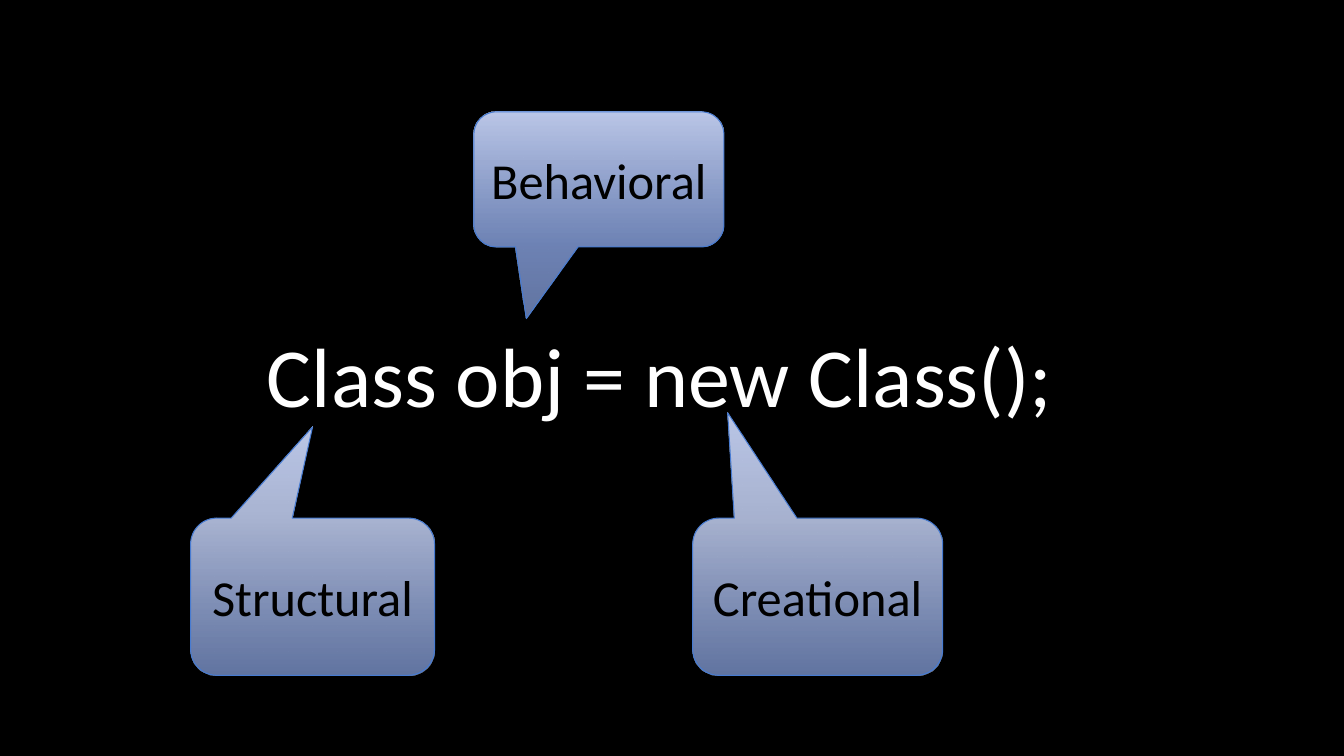
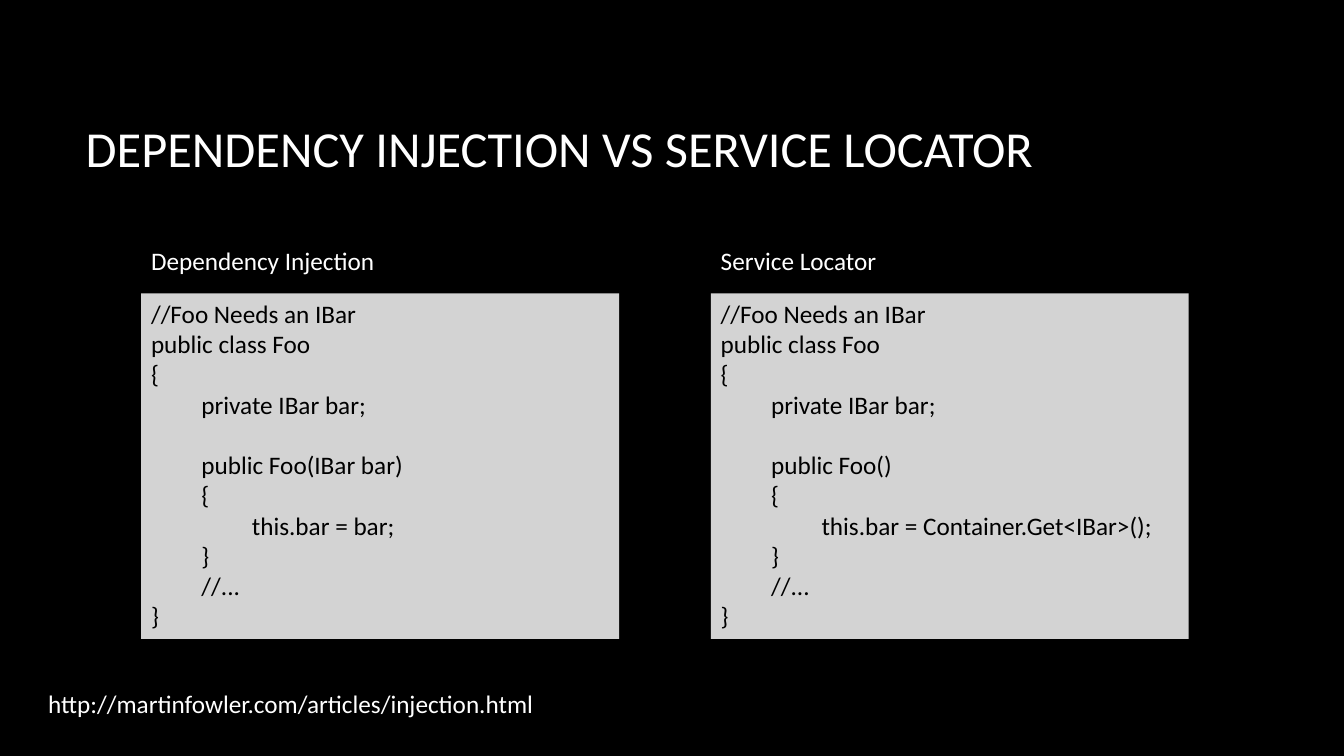
import pptx
import pptx.dml.color
import pptx.enum.shapes
import pptx.enum.text
import pptx.oxml.ns
import pptx.util
from lxml import etree
from pptx.util import Inches

RGBColor = pptx.dml.color.RGBColor
BLACK = RGBColor(0x00, 0x00, 0x00)
WHITE = RGBColor(0xFF, 0xFF, 0xFF)
CODE_GRAY = RGBColor(0xD3, 0xD3, 0xD3)
CALLOUT_TOP = RGBColor(0xBC, 0xC8, 0xE9)
CALLOUT_BOTTOM = RGBColor(0x85, 0x9E, 0xDA)
CALLOUT_LINE = RGBColor(0x47, 0x7B, 0xD1)

FONT = "Calibri"
SHAPES = pptx.enum.shapes.MSO_SHAPE
ANCHOR = pptx.enum.text.MSO_ANCHOR
ALIGN = pptx.enum.text.PP_ALIGN
TITLE_ONLY, BLANK = 5, 6


class Deck:
    """Holds the shared style and the current slide."""

    def __init__(self):
        self.presentation = pptx.Presentation()
        self.presentation.slide_width = Inches(13.33)
        self.presentation.slide_height = Inches(7.5)
        background = self.presentation.slide_master.background.fill
        background.solid()
        background.fore_color.rgb = BLACK
        self.slide = None

    def new_slide(self, layout):
        layouts = self.presentation.slide_layouts
        self.slide = self.presentation.slides.add_slide(layouts[layout])

    def format_text(self, shape, size, color, align=ALIGN.LEFT):
        for paragraph in shape.text_frame.paragraphs:
            paragraph.alignment = align
            for run in paragraph.runs:
                run.font.name = FONT
                run.font.size = pptx.util.Pt(size)
                run.font.color.rgb = color

    def title(self, text, left, top, width, height):
        shape = self.slide.shapes.title
        shape.left, shape.top = Inches(left), Inches(top)
        shape.width, shape.height = Inches(width), Inches(height)
        shape.text_frame.text = text
        shape.text_frame.vertical_anchor = ANCHOR.MIDDLE
        self.format_text(shape, 36, WHITE)

    def label(self, text, left, top, width, height, size=18, anchor=ANCHOR.TOP):
        shape = self.slide.shapes.add_textbox(
            Inches(left), Inches(top), Inches(width), Inches(height))
        shape.text_frame.text = text
        shape.text_frame.vertical_anchor = anchor
        self.format_text(shape, size, WHITE)

    def add_shape(self, kind, left, top, width, height):
        shape = self.slide.shapes.add_shape(
            kind, Inches(left), Inches(top), Inches(width), Inches(height))
        shape.shadow.inherit = False
        shape.text_frame.word_wrap = True
        return shape

    def callout(self, text, left, top, width, height, tip):
        """Rounded callout; tip is the pointer offset as a share of its size."""
        shape = self.add_shape(
            SHAPES.ROUNDED_RECTANGULAR_CALLOUT, left, top, width, height)
        shape.adjustments[0], shape.adjustments[1] = tip
        fill = shape.fill
        fill.gradient()
        fill.gradient_angle = 270
        for stop, color in zip(fill.gradient_stops, (CALLOUT_TOP, CALLOUT_BOTTOM)):
            stop.color.rgb = color
        # The lower gradient stop is partly transparent
        qn = pptx.oxml.ns.qn
        last_color = list(shape.element.spPr.iter(qn("a:srgbClr")))[-1]
        etree.SubElement(last_color, qn("a:alpha")).set("val", "74000")
        shape.line.color.rgb = CALLOUT_LINE
        shape.line.width = pptx.util.Pt(0.75)
        shape.text_frame.text = text
        shape.text_frame.vertical_anchor = ANCHOR.MIDDLE
        self.format_text(shape, 36, BLACK, ALIGN.CENTER)

    def code(self, lines, left, top, width, height):
        """Code panel; each line is (indent level, text, space before)."""
        shape = self.add_shape(SHAPES.RECTANGLE, left, top, width, height)
        shape.fill.solid()
        shape.fill.fore_color.rgb = CODE_GRAY
        shape.line.fill.background()
        frame = shape.text_frame
        frame.vertical_anchor = ANCHOR.TOP
        frame.text = "\n".join(text for _, text, _ in lines)
        for paragraph, (level, _, gap) in zip(frame.paragraphs, lines):
            properties = paragraph._p.get_or_add_pPr()
            properties.set("marL", str(Inches(0.5 * level)))
            paragraph.space_before = pptx.util.Pt(gap)
        self.format_text(shape, 18, BLACK)


def pattern_slide(deck):
    deck.new_slide(BLANK)
    deck.label("Class obj = new Class();", 2.55, 3.16, 8.07, 1.11, size=60)
    # Pattern families
    deck.callout("Structural", 1.89, 5.14, 2.42, 1.56, (0, -1.08))
    deck.callout("Behavioral", 4.7, 1.11, 2.48, 1.34, (-0.29, 1.03))
    deck.callout("Creational", 6.87, 5.14, 2.48, 1.56, (-0.36, -1.17))


def foo_class(constructor, value):
    line_gap = 21.6
    return [
        (0, "//Foo Needs an IBar", 0),
        (0, "public class Foo", 0),
        (0, "{", 0),
        (1, "private IBar bar;", 0),
        (1, f"public {constructor}", line_gap),
        (1, "{", 0),
        (2, f"this.bar = {value};", 0),
        (1, "}", 0),
        (1, "//...", 0),
        (0, "}", 0),
    ]


def comparison_slide(deck):
    deck.new_slide(TITLE_ONLY)
    deck.title("DEPENDENCY INJECTION VS SERVICE LOCATOR", 0.75, 0.67, 11.08, 1.59)
    deck.label("http://martinfowler.com/articles/injection.html",
               0.38, 6.7, 11.08, 0.56, anchor=ANCHOR.MIDDLE)
    # Code columns
    columns = [
        ("Dependency Injection", "Foo(IBar bar)", "bar"),
        ("Service Locator", "Foo()", "Container.Get<IBar>()"),
    ]
    for index, (heading, constructor, value) in enumerate(columns):
        left = 1.4 + 5.65 * index
        deck.code(foo_class(constructor, value), left, 2.91, 4.74, 3.43)
        deck.label(heading, left, 2.38, 2.45, 0.4)


def main():
    deck = Deck()
    pattern_slide(deck)
    comparison_slide(deck)
    deck.presentation.save("out.pptx")


if __name__ == "__main__":
    main()
